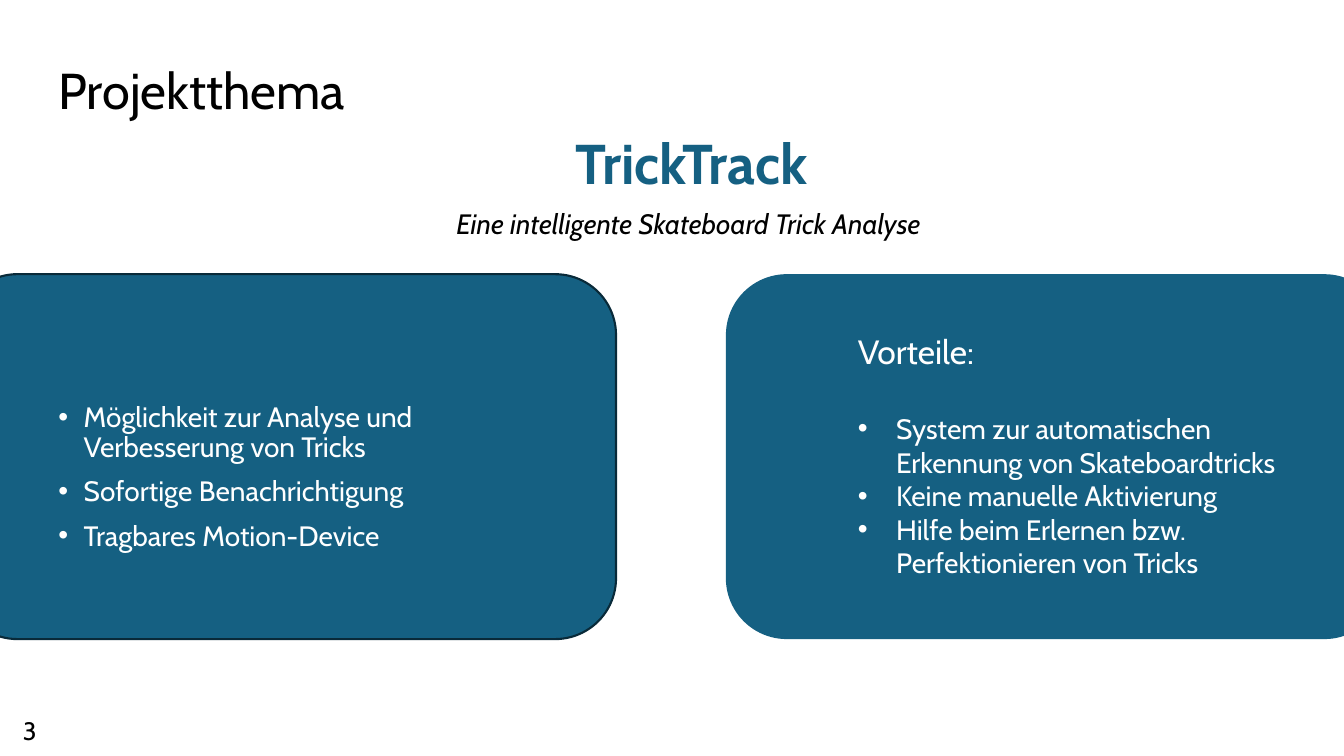
"""Build the project topic slide with two rounded panels."""
from dataclasses import dataclass
from typing import Optional

from lxml.etree import SubElement
from pptx import Presentation
from pptx.dml.color import RGBColor
from pptx.enum.shapes import MSO_SHAPE
from pptx.enum.text import MSO_ANCHOR, MSO_AUTO_SIZE, PP_ALIGN
from pptx.oxml.ns import qn
from pptx.util import Emu, Pt

PX = 9144
FONT = "Cabin"
BLACK = RGBColor(0x00, 0x00, 0x00)
WHITE = RGBColor(0xFF, 0xFF, 0xFF)
TEAL = RGBColor(0x15, 0x60, 0x82)
NAVY = RGBColor(0x09, 0x2A, 0x39)


@dataclass(frozen=True)
class Box:
    left: int
    top: int
    width: int
    height: int

    def emu(self) -> tuple[Emu, ...]:
        return tuple(Emu(v * PX) for v in (self.left, self.top, self.width, self.height))


@dataclass(frozen=True)
class Panel:
    box: Box
    line: Optional[RGBColor] = None


@dataclass(frozen=True)
class Para:
    text: str
    size: int = 20
    color: RGBColor = WHITE
    bold: bool = False
    italic: bool = False
    align: PP_ALIGN = PP_ALIGN.LEFT
    spacing: float = 1.0
    before: int = 0
    indent: int = 0


@dataclass(frozen=True)
class TextBlock:
    box: Box
    paras: tuple[Para, ...]
    anchor: MSO_ANCHOR = MSO_ANCHOR.TOP
    placeholder: Optional[int] = None


PANELS = (
    Panel(Box(720, 272, 654, 362)),
    Panel(Box(-43, 272, 654, 362), NAVY),
)

BLOCKS = (
    TextBlock(
        Box(48, 20, 1150, 145),
        (Para("Projektthema", 36, BLACK, spacing=0.9),),
        MSO_ANCHOR.MIDDLE,
        placeholder=0,
    ),
    TextBlock(
        Box(48, 395, 500, 138),
        (
            Para("Möglichkeit zur Analyse und Verbesserung von Tricks", spacing=0.9, indent=25),
            Para("Sofortige Benachrichtigung", spacing=0.9, before=10, indent=25),
            Para("Tragbares Motion-Device", spacing=0.9, before=10, indent=25),
        ),
        placeholder=1,
    ),
    TextBlock(
        Box(841, 323, 440, 293),
        (
            Para("Vorteile:", 24),
            Para("System zur automatischen Erkennung von Skateboardtricks", before=29, indent=38),
            Para("Keine manuelle Aktivierung", indent=38),
            Para("Hilfe beim Erlernen bzw. Perfektionieren von Tricks", indent=38),
        ),
    ),
    TextBlock(Box(13, 705, 123, 40), (Para("3", 18, BLACK),)),
    TextBlock(
        Box(284, 130, 804, 115),
        (
            Para("TrickTrack", 40, TEAL, bold=True, align=PP_ALIGN.CENTER, spacing=0.9),
            Para("Eine intelligente Skateboard Trick Analyse ", 20, BLACK, italic=True,
                 align=PP_ALIGN.CENTER, spacing=0.9, before=10),
        ),
    ),
)


def add_panel(slide, panel: Panel) -> None:
    sp = slide.shapes.add_shape(MSO_SHAPE.ROUNDED_RECTANGLE, *panel.box.emu())
    sp.shadow.inherit = False
    sp.fill.solid()
    sp.fill.fore_color.rgb = TEAL
    if panel.line is None:
        sp.line.fill.background()
    else:
        sp.line.color.rgb = panel.line
        sp.line.width = Pt(1.5)


def set_bullet(p, indent: int) -> None:
    pPr = p._p.get_or_add_pPr()
    pPr.set("marL", str(indent * PX))
    pPr.set("indent", str(-indent * PX))
    SubElement(pPr, qn("a:buFont")).set("typeface", "Arial")
    SubElement(pPr, qn("a:buChar")).set("char", "•")


def write_para(p, para: Para) -> None:
    p.text = para.text
    p.alignment = para.align
    p.line_spacing = para.spacing
    p.space_before = Pt(para.before)
    if para.indent:
        set_bullet(p, para.indent)
    for r in p.runs:
        r.font.name = FONT
        r.font.size = Pt(para.size)
        r.font.bold = para.bold
        r.font.italic = para.italic
        r.font.color.rgb = para.color


def add_text(slide, block: TextBlock) -> None:
    if block.placeholder is None:
        sp = slide.shapes.add_textbox(*block.box.emu())
    else:
        sp = slide.placeholders[block.placeholder]
        sp.left, sp.top, sp.width, sp.height = block.box.emu()
        slide.shapes._spTree.append(sp._element)
    tf = sp.text_frame
    tf.word_wrap = True
    tf.auto_size = MSO_AUTO_SIZE.NONE
    tf.vertical_anchor = block.anchor
    for i, para in enumerate(block.paras):
        write_para(tf.add_paragraph() if i else tf.paragraphs[0], para)


def main() -> None:
    prs = Presentation()
    prs.slide_width, prs.slide_height = Emu(1333 * PX), Emu(750 * PX)
    slide = prs.slides.add_slide(prs.slide_layouts[1])
    for panel in PANELS:
        add_panel(slide, panel)
    for block in BLOCKS:
        add_text(slide, block)
    prs.save("out.pptx")


if __name__ == "__main__":
    main()
